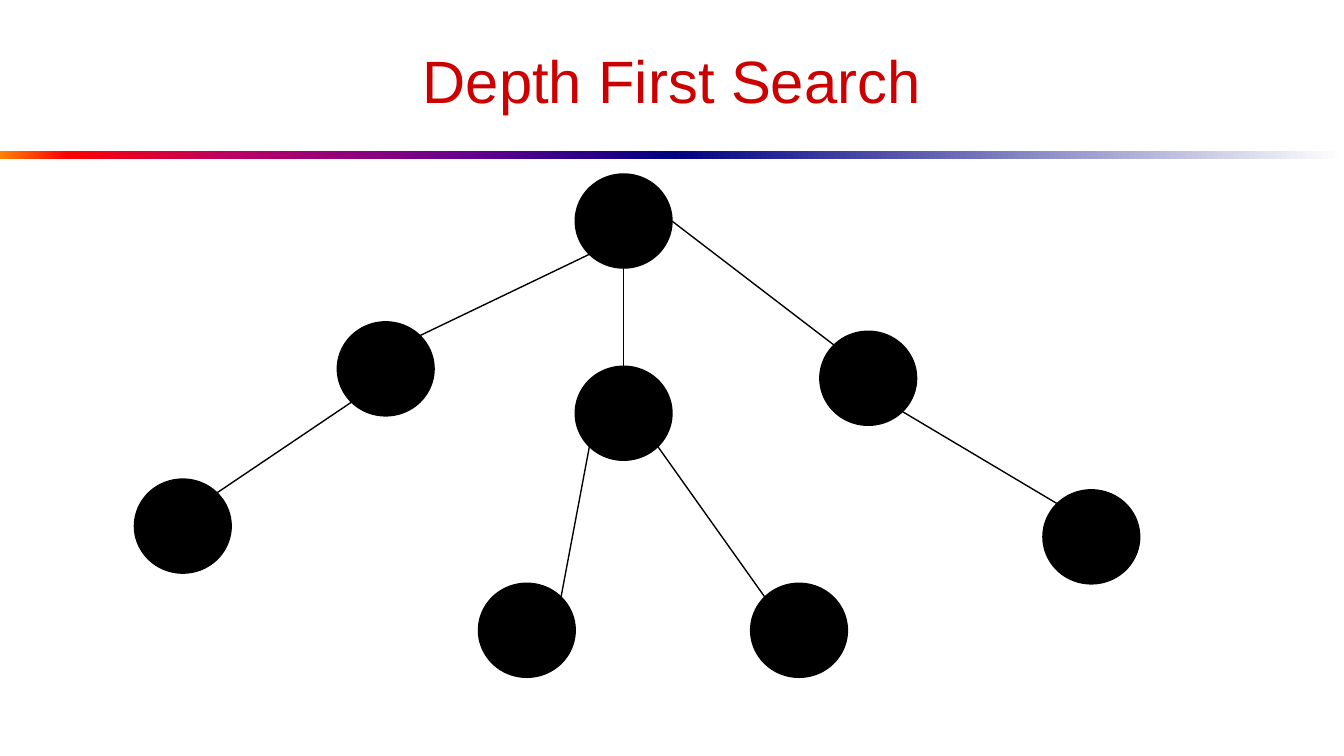
from math import cos, radians, sin

from lxml import etree
from pptx import Presentation
from pptx.dml.color import RGBColor
from pptx.enum.shapes import MSO_CONNECTOR, MSO_SHAPE
from pptx.enum.text import MSO_ANCHOR, PP_ALIGN
from pptx.oxml.ns import qn
from pptx.util import Pt

RECTANGLE, OVAL = MSO_SHAPE.RECTANGLE, MSO_SHAPE.OVAL
STRAIGHT = MSO_CONNECTOR.STRAIGHT
MIDDLE, CENTER = MSO_ANCHOR.MIDDLE, PP_ALIGN.CENTER

PX = 4572
SLIDE_WIDTH, SLIDE_HEIGHT = 2000, 1125
NODE_WIDTH, NODE_HEIGHT = 144, 140
COLORS = {
    "title": "CC0000",
    "node": "000000",
    "orange": "FF8200",
    "red": "FF0000",
    "magenta": "BA0066",
    "purple": "66008F",
    "navy": "000082",
    "white": "FFFFFF",
}
ANGLES = {
    "right": 0, "bottom right": 45, "bottom": 90, "bottom left": 135,
    "top left": 225, "top": 270, "top right": 315,
}
NODES = {
    "root": (856, 259),
    "far left": (200, 713),
    "middle": (856, 545),
    "middle left": (712, 868),
    "right": (1220, 493),
    "left": (502, 479),
    "middle right": (1117, 868),
    "far right": (1552, 729),
}
EDGES = [
    ("root", "bottom left", "left", "top right"),
    ("left", "bottom left", "far left", "top right"),
    ("root", "bottom", "middle", "top"),
    ("middle", "bottom left", "middle left", "top right"),
    ("middle", "bottom right", "middle right", "top left"),
    ("root", "right", "right", "top left"),
    ("right", "bottom right", "far right", "top left"),
]


class TreeSlide:
    def __init__(self, deck):
        self.page = deck.slides.add_slide(deck.slide_layouts[6])
        self.font = "Arial"
        self.line_width = Pt(0.75)

    def color(self, name):
        return RGBColor.from_string(COLORS[name])

    def shape(self, kind, *frame):
        shape = self.page.shapes.add_shape(kind, *(value * PX for value in frame))
        shape.shadow.inherit = False
        return shape

    def gradient_bar(self, left, top, width, height, stops):
        bar = self.shape(RECTANGLE, left, top, width, height)
        bar.line.fill.background()
        bar.fill.gradient()
        bar.fill.gradient_angle = 0
        stop_list = bar._element.spPr.find(".//" + qn("a:gsLst"))
        stop_list.clear()
        for percent, name in stops:
            stop = etree.SubElement(stop_list, qn("a:gs"), pos=str(percent * 1000))
            etree.SubElement(stop, qn("a:srgbClr"), val=COLORS[name])

    def node(self, left, top):
        node = self.shape(OVAL, left, top, NODE_WIDTH, NODE_HEIGHT)
        node.fill.solid()
        node.fill.fore_color.rgb = self.color("node")
        node.line.color.rgb = self.color("node")
        node.line.width = self.line_width

    def rim_point(self, name, side):
        left, top = NODES[name]
        angle = radians(ANGLES[side])
        x = left + NODE_WIDTH / 2 * (1 + cos(angle))
        y = top + NODE_HEIGHT / 2 * (1 + sin(angle))
        return round(x * PX), round(y * PX)

    def edge(self, parent, parent_side, child, child_side):
        start = self.rim_point(parent, parent_side)
        end = self.rim_point(child, child_side)
        edge = self.page.shapes.add_connector(STRAIGHT, *start, *end)
        edge.line.color.rgb = self.color("node")
        edge.line.width = self.line_width
        etree.SubElement(edge._element.spPr, qn("a:effectLst"))

    def title(self, text, *frame):
        box = self.page.shapes.add_textbox(*(value * PX for value in frame))
        box.text_frame.word_wrap = True
        box.text_frame.vertical_anchor = MIDDLE
        box.text_frame.text = text
        para = box.text_frame.paragraphs[0]
        para.alignment = CENTER
        font = para.runs[0].font
        font.name = self.font
        font.size = Pt(32)
        font.color.rgb = self.color("title")


def main():
    deck = Presentation()
    deck.slide_width, deck.slide_height = SLIDE_WIDTH * PX, SLIDE_HEIGHT * PX
    slide = TreeSlide(deck)
    half = SLIDE_WIDTH // 2
    warm_stops = [(0, "orange"), (10, "red"), (35, "magenta"), (70, "purple"), (100, "navy")]
    slide.gradient_bar(0, 225, half, 12, warm_stops)
    slide.gradient_bar(half, 225, half, 12, [(0, "navy"), (100, "white")])
    for position in NODES.values():
        slide.node(*position)
    for edge in EDGES:
        slide.edge(*edge)
    slide.title("Depth First Search", 100, 38, 1800, 162)
    deck.save("out.pptx")


if __name__ == "__main__":
    main()
